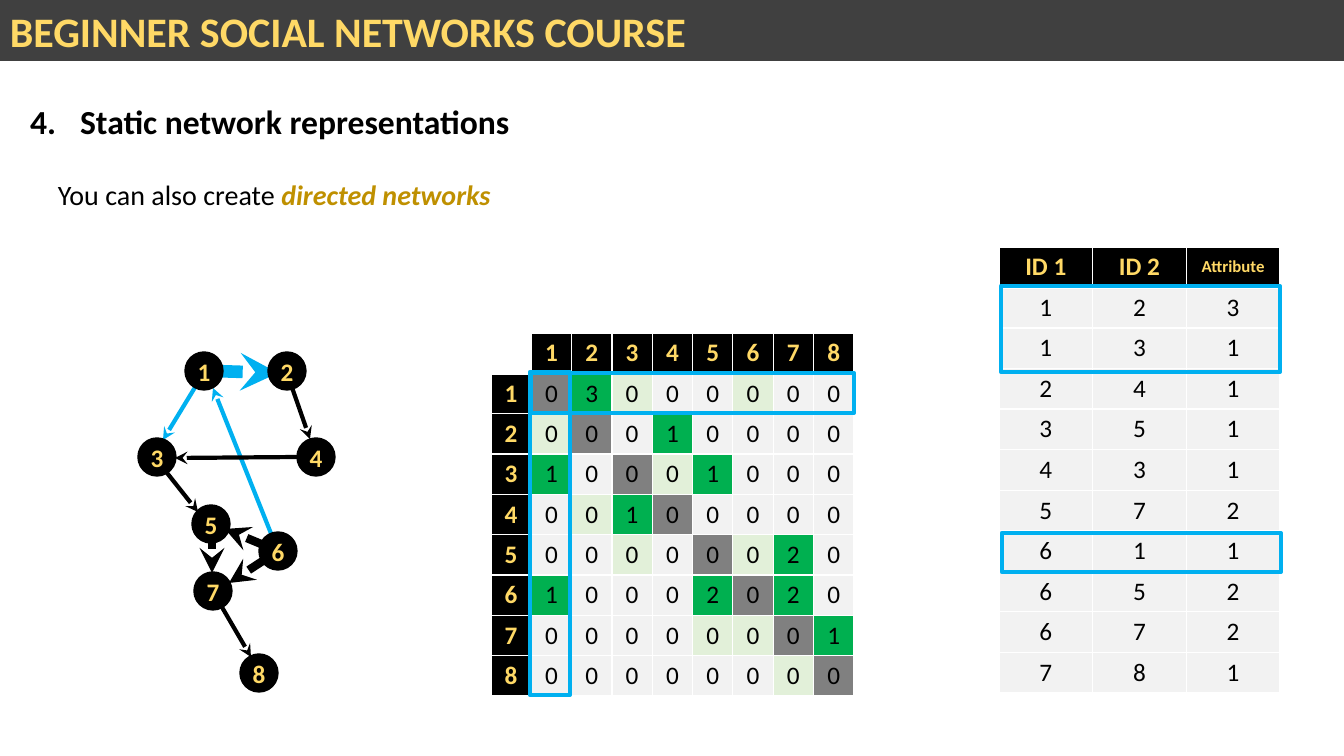
from lxml.etree import SubElement
from pptx import Presentation
from pptx.dml.color import RGBColor
from pptx.enum.shapes import MSO_CONNECTOR, MSO_SHAPE
from pptx.enum.text import MSO_ANCHOR, PP_ALIGN
from pptx.oxml.ns import qn
from pptx.util import Emu, Pt

SCALE = 12192000 / 1344
FONT = "Calibri"
BLACK, WHITE, YELLOW, BLUE = "000000", "FFFFFF", "FFD966", "00B0F0"
GREEN, PALE_GREEN, GREY, PALE_GREY = "00B050", "E2F0D9", "808080", "F2F2F2"

NODE_SIZE = 38
NODES = {1: (48, 1), 2: (131, 1), 3: (1, 87), 4: (160, 87),
         5: (55, 154), 6: (122, 181), 7: (57, 221), 8: (103, 303)}
ARROWS = [
    ((68, 20), (26, 89), BLUE, 3),
    ((141, 200), (76, 37), BLUE, 3),
    ((76, 20), (141, 22), BLUE, 9),
    ((165, 106), (38, 107), BLACK, 3),
    ((150, 22), (173, 88), BLACK, 3),
    ((19, 108), (61, 161), BLACK, 3),
    ((75, 178), (75, 222), BLACK, 6),
    ((141, 200), (88, 178), BLACK, 6),
    ((141, 200), (92, 232), BLACK, 6),
    ((75, 239), (114, 306), BLACK, 3),
]
MATRIX = ["03000000", "00010000", "10001000", "00100000",
          "00000020", "10002020", "00000001", "00000000"]
EDGE_LIST = ["123", "131", "241", "351", "431", "572", "611", "652", "672", "781"]


def px(length):
    return Emu(round(length * SCALE))


def colour(code):
    return RGBColor.from_string(code)


def add_span(para, text, size, code, bold=False, italic=False):
    span = para.add_run()
    span.text = text
    font = span.font
    font.name, font.size, font.bold, font.italic = FONT, Pt(size), bold, italic
    font.color.rgb = colour(code)


def add_box(page, kind, box, fill=None, line=None, width=1):
    shape = page.shapes.add_shape(kind, *map(px, box))
    shape.shadow.inherit = False
    if fill:
        shape.fill.solid()
        shape.fill.fore_color.rgb = colour(fill)
    else:
        shape.fill.background()
    if line:
        shape.line.color.rgb = colour(line)
        shape.line.width = Pt(width)
    else:
        shape.line.fill.background()
    return shape


def add_banner(page, box):
    banner = add_box(page, MSO_SHAPE.RECTANGLE, box, "404040")
    banner.text_frame.vertical_anchor = MSO_ANCHOR.MIDDLE
    para = banner.text_frame.paragraphs[0]
    para.alignment = PP_ALIGN.LEFT
    add_span(para, "BEGINNER SOCIAL NETWORKS COURSE", 30, YELLOW, True)


def add_heading(page, box):
    title = page.shapes.title
    title.left, title.top, title.width, title.height = map(px, box)
    title.text_frame.vertical_anchor = MSO_ANCHOR.TOP
    para = title.text_frame.paragraphs[0]
    para.alignment = PP_ALIGN.LEFT
    properties = para._p.get_or_add_pPr()
    properties.set("marL", str(px(50)))
    properties.set("indent", str(-px(50)))
    SubElement(properties, qn("a:buFont"), typeface="+mj-lt")
    SubElement(properties, qn("a:buAutoNum"), type="arabicPeriod", startAt="4")
    add_span(para, "Static network representations", 24, BLACK, True)


def add_statement(page, box):
    frame = page.shapes.add_textbox(*map(px, box)).text_frame
    frame.word_wrap = True
    para = frame.paragraphs[0]
    add_span(para, "You can also create ", 20, BLACK)
    add_span(para, "directed networks", 20, "BF9000", True, True)


def add_arrow(page, start, end, code, width):
    arrow = page.shapes.add_connector(MSO_CONNECTOR.STRAIGHT, *map(px, start + end))
    arrow.line.color.rgb = colour(code)
    arrow.line.width = Pt(width)
    SubElement(arrow.line._get_or_add_ln(), qn("a:tailEnd"), type="stealth")
    SubElement(arrow._element.spPr, qn("a:effectLst"))


def add_network(page, box):
    left, top = box[:2]
    for start, end, code, width in ARROWS:
        add_arrow(page, (left + start[0], top + start[1]),
                  (left + end[0], top + end[1]), code, width)
    for label, (x, y) in NODES.items():
        node = add_box(page, MSO_SHAPE.OVAL, (left + x, top + y, NODE_SIZE, NODE_SIZE),
                       BLACK, BLACK)
        frame = node.text_frame
        frame.margin_left = frame.margin_right = frame.margin_top = frame.margin_bottom = 0
        frame.word_wrap = False
        frame.vertical_anchor = MSO_ANCHOR.MIDDLE
        frame.paragraphs[0].alignment = PP_ALIGN.CENTER
        add_span(frame.paragraphs[0], str(label), 18, YELLOW, True)


def fill_cell(cell, text, fill, header=False, top_row=False, size=18):
    properties = cell._tc.get_or_add_tcPr()
    for side in "LRTB":
        width = 3 if top_row and side == "B" else 1
        border = SubElement(properties, qn(f"a:ln{side}"), w=str(Pt(width)))
        SubElement(SubElement(border, qn("a:solidFill")), qn("a:srgbClr"), val=WHITE)
    cell.fill.solid()
    cell.fill.fore_color.rgb = colour(fill)
    cell.margin_top = cell.margin_bottom = px(4)
    cell.vertical_anchor = MSO_ANCHOR.MIDDLE
    para = cell.text_frame.paragraphs[0]
    para.alignment = PP_ALIGN.CENTER
    if text:
        add_span(para, text, size, YELLOW if header else BLACK, header)


def add_grid(page, box, rows, columns):
    grid = page.shapes.add_table(rows, columns, *map(px, box)).table
    for column in grid.columns:
        column.width = px(box[2] / columns)
    for row in grid.rows:
        row.height = px(box[3] / rows)
    return grid


def matrix_fill(row, column):
    if row == column:
        return GREY
    if MATRIX[row][column] != "0":
        return GREEN
    return PALE_GREEN if MATRIX[column][row] != "0" else PALE_GREY


def add_highlight(page, box):
    add_box(page, MSO_SHAPE.RECTANGLE, box, line=BLUE, width=3)


def add_matrix(page, box):
    left, top, width, height = box
    count = len(MATRIX)
    grid = add_grid(page, box, count + 1, count + 1)
    fill_cell(grid.cell(0, 0), "", WHITE, top_row=True)
    for row in range(count):
        label = str(row + 1)
        fill_cell(grid.cell(0, row + 1), label, BLACK, True, True)
        fill_cell(grid.cell(row + 1, 0), label, BLACK, True)
        for column, value in enumerate(MATRIX[row]):
            fill_cell(grid.cell(row + 1, column + 1), value, matrix_fill(row, column))
    add_highlight(page, (left + 40, top + 40, width - 40, 40))
    add_highlight(page, (left + 39, top + 39, 40, height - 40))


def add_edge_list(page, box):
    left, top = box[:2]
    grid = add_grid(page, box, len(EDGE_LIST) + 1, 3)
    for column, (text, size) in enumerate([("ID 1", 18), ("ID 2", 18), ("Attribute", 12)]):
        fill_cell(grid.cell(0, column), text, BLACK, True, True, size)
    for row, values in enumerate(EDGE_LIST, 1):
        for column, value in enumerate(values):
            fill_cell(grid.cell(row, column), value, PALE_GREY)
    add_highlight(page, (left + 2, top + 39, 279, 86))
    add_highlight(page, (left + 3, top + 286, 279, 39))


def main():
    deck = Presentation()
    deck.slide_width, deck.slide_height = px(1344), px(756)
    page = deck.slides.add_slide(deck.slide_layouts[5])
    add_banner(page, (0, 0, 1344, 61))
    add_heading(page, (20, 96, 1288, 92))
    add_statement(page, (48, 173, 1262, 44))
    add_network(page, (137, 351, 199, 342))
    add_matrix(page, (491, 333, 363, 363))
    add_edge_list(page, (999, 247, 281, 446))
    deck.save("out.pptx")


if __name__ == "__main__":
    main()
